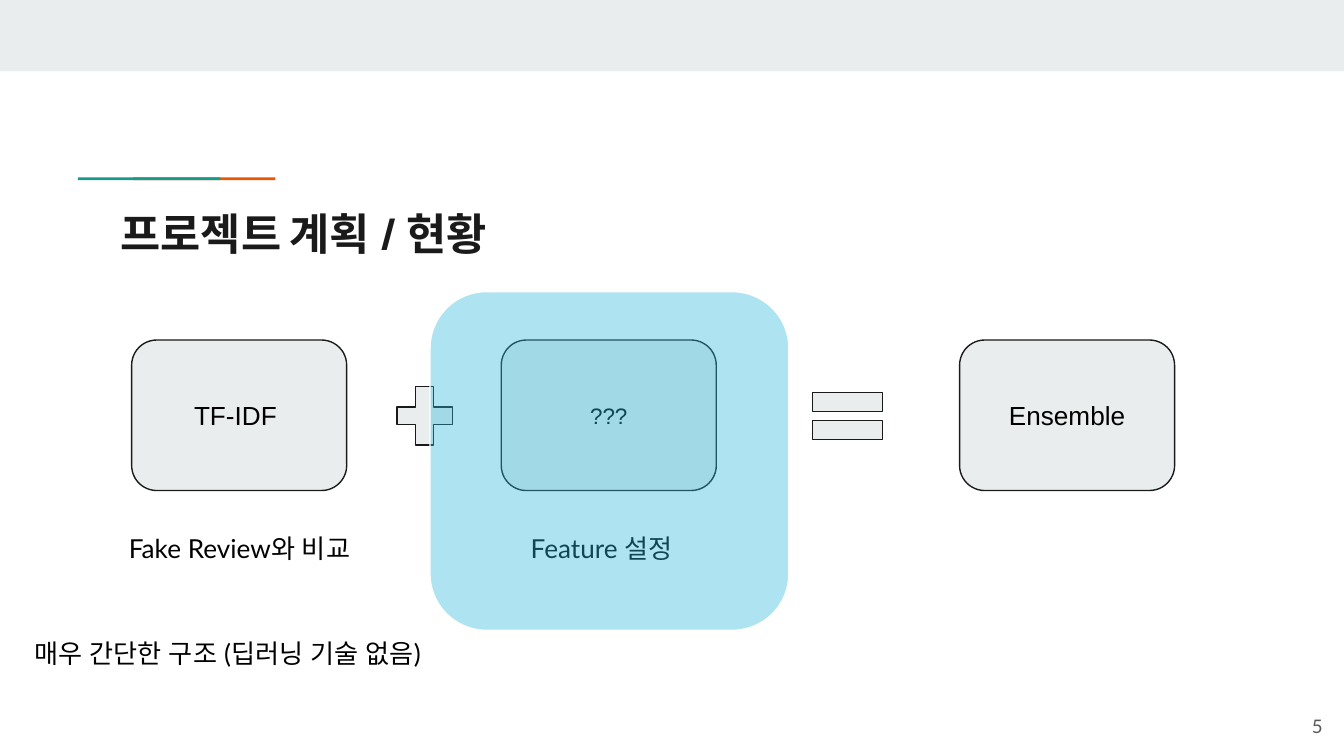
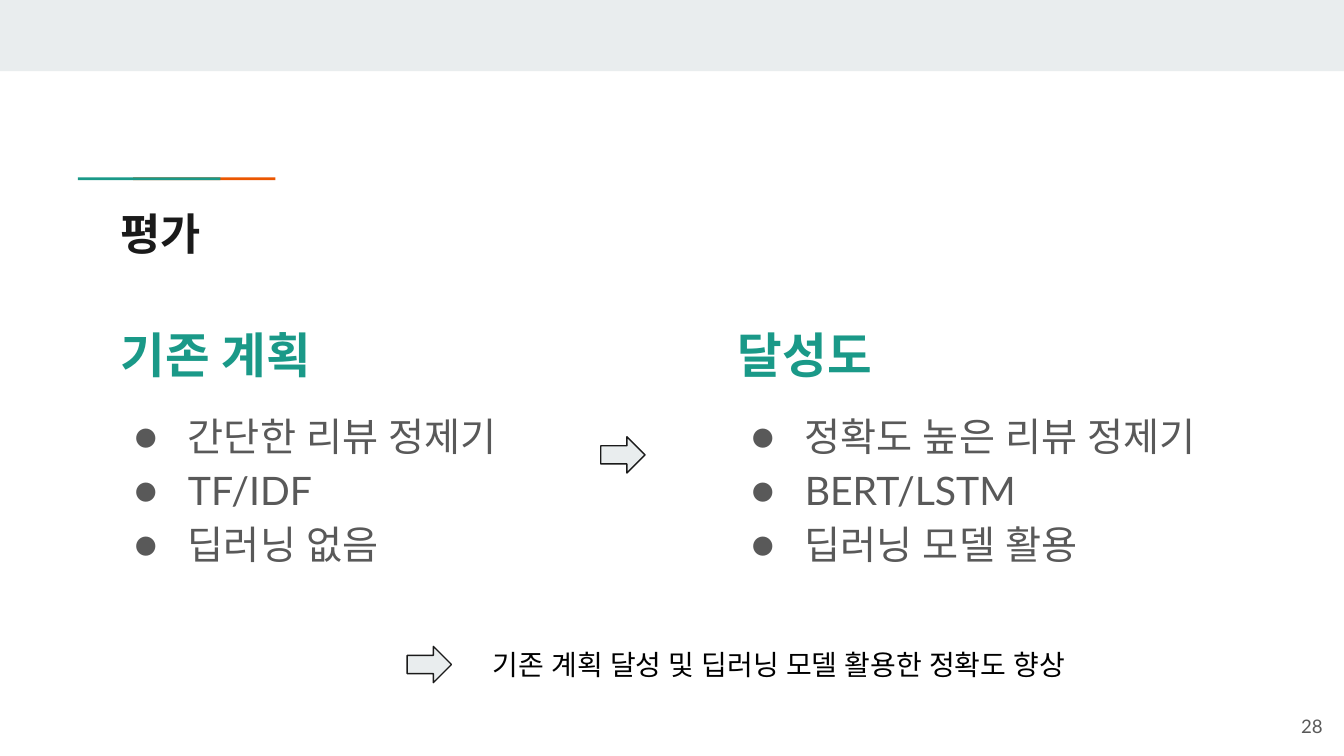
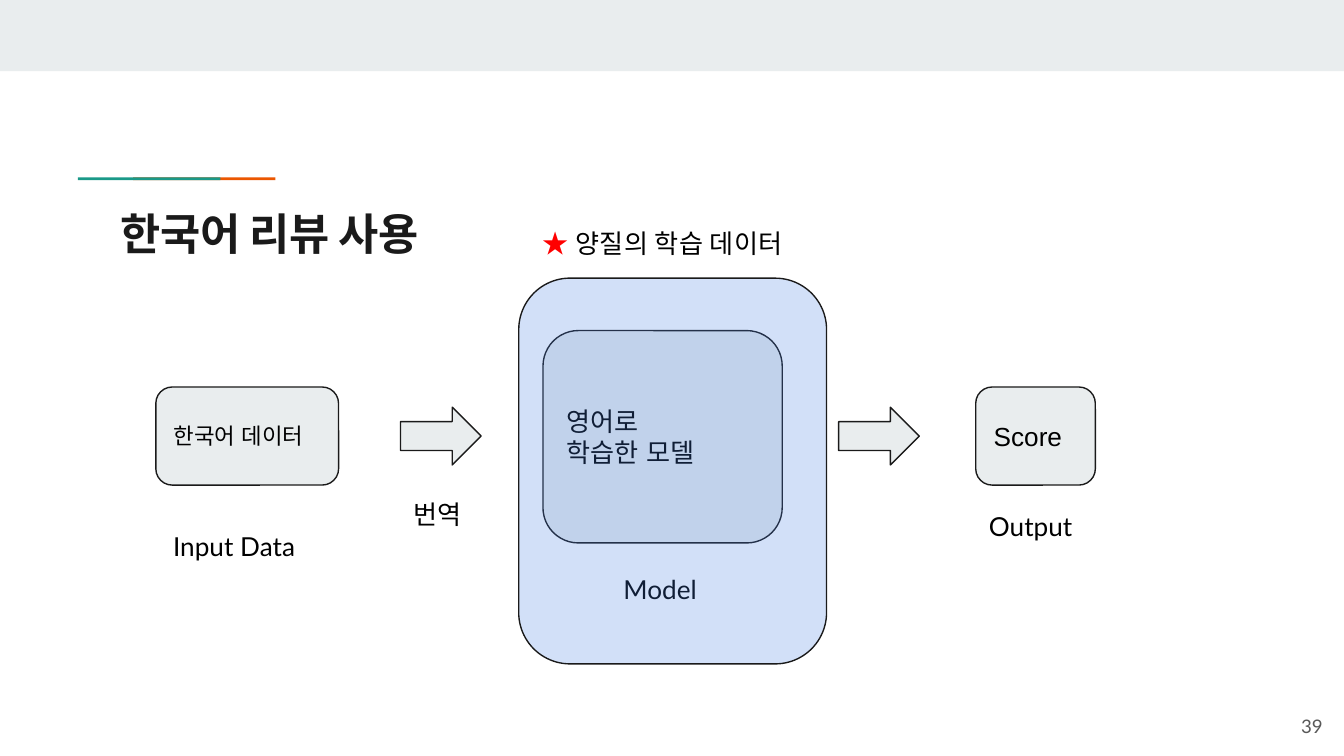
"""Build three slides on the plan, evaluation and Korean use of a review filter."""
from dataclasses import dataclass

from lxml import etree
from pptx import Presentation
from pptx import util as u
from pptx.dml.color import RGBColor
from pptx.enum import lang, shapes, text
from pptx.oxml import ns


@dataclass(frozen=True)
class Theme:
    band: str = "E9EDEE"
    ink: str = "1A1A1A"
    black: str = "000000"
    white: str = "FFFFFF"
    grey: str = "595959"
    teal: str = "1A9988"
    orange: str = "EB5600"
    red: str = "FF0000"
    cyan: str = "2CB9DC"
    blue: str = "447EE3"
    title_font: str = "Manrope"
    body_font: str = "Lato"
    box_font: str = "Arial"
    title_size: float = 23.4
    heading_size: int = 26
    bullet_size: int = 21
    summary_size: int = 15
    label_size: int = 14
    small_size: int = 12
    number_size: int = 10


theme = Theme()
kinds = shapes.MSO_SHAPE
center = text.PP_ALIGN.CENTER
middle = text.MSO_ANCHOR.MIDDLE


def draw(slide, kind, box, fill=theme.band, line=theme.ink, opacity=None):
    shape = slide.shapes.add_shape(kind, *map(u.Inches, box))
    shape.shadow.inherit = False
    shape.fill.solid()
    shape.fill.fore_color.rgb = RGBColor.from_string(fill)
    if opacity:
        color = shape._element.spPr.find(".//" + ns.qn("a:srgbClr"))
        etree.SubElement(color, ns.qn("a:alpha"), val=str(opacity * 1000))
    if line:
        shape.line.color.rgb = RGBColor.from_string(line)
        shape.line.width = u.Pt(0.75)
    else:
        shape.line.fill.background()
    return shape


def write(slide, box, content, shape=None, font=theme.body_font, size=theme.label_size,
          color=theme.black, bold=False, align=text.PP_ALIGN.LEFT, anchor=text.MSO_ANCHOR.TOP,
          spacing=None, before=0, bullet=None, same_line=False):
    shape = shape or slide.shapes.add_textbox(*map(u.Inches, box))
    frame = shape.text_frame
    frame.word_wrap = True
    frame.vertical_anchor = anchor
    frame.margin_left = frame.margin_right = frame.margin_top = frame.margin_bottom = u.Inches(0.1)
    paragraph = frame.paragraphs[-1]
    if paragraph.runs and not same_line:
        paragraph = frame.add_paragraph()
    paragraph.alignment = align
    if spacing:
        paragraph.line_spacing = spacing
        paragraph.space_before = u.Pt(before)
    if bullet:
        properties = paragraph._p.get_or_add_pPr()
        properties.set("marL", str(u.Inches(0.5)))
        properties.set("indent", str(u.Inches(-0.4)))
        bullet_color = etree.SubElement(properties, ns.qn("a:buClr"))
        etree.SubElement(bullet_color, ns.qn("a:srgbClr"), val=color)
        etree.SubElement(properties, ns.qn("a:buFont"), typeface=font)
        etree.SubElement(properties, ns.qn("a:buChar"), char=bullet)
    run = paragraph.add_run()
    run.text = content
    run.font.size = u.Pt(size)
    run.font.bold = bold
    run.font.color.rgb = RGBColor.from_string(color)
    run.font.name = font
    run.font.language_id = lang.MSO_LANGUAGE_ID.KOREAN
    etree.SubElement(run._r.rPr, ns.qn("a:ea"), typeface=font)
    return shape


presentation = Presentation()
presentation.slide_width = u.Inches(10)
presentation.slide_height = presentation.slide_width * 9 // 16

slides = []
for title, number in (("프로젝트 계획 / 현황", "5"), ("평가", "28"), ("한국어 리뷰 사용", "39")):
    slide = presentation.slides.add_slide(presentation.slide_layouts[6])
    draw(slide, kinds.RECTANGLE, (0, 0, 10, 0.53), line=None)
    for left, color in ((0.99, theme.orange), (0.58, theme.teal)):
        draw(slide, kinds.RECTANGLE, (left, 1.32, 1.06, 0.02), fill=color, line=None)
    write(slide, (0.8, 1.44, 8.41, 0.59), title, font=theme.title_font,
          size=theme.title_size, color=theme.ink, bold=True)
    write(slide, (9.34, 5.19, 0.6, 0.43), number, size=theme.number_size,
          color=theme.grey, align=text.PP_ALIGN.RIGHT, anchor=middle)
    slides.append(slide)
plan, evaluation, korean = slides

for left, content, size in ((0.98, "TF-IDF ", theme.label_size),
                            (3.73, "???", theme.small_size),
                            (7.14, "Ensemble", theme.label_size)):
    step = draw(plan, kinds.ROUNDED_RECTANGLE, (left, 2.53, 1.6, 1.12))
    write(plan, None, content, shape=step, font=theme.box_font, size=size,
          align=center, anchor=middle)
draw(plan, kinds.MATH_PLUS, (2.88, 2.8, 0.56, 0.59))
draw(plan, kinds.MATH_EQUAL, (5.95, 2.8, 0.71, 0.59))
for left, top, width, content in ((0.86, 3.86, 2.45, "Fake Review와 비교"),
                                  (3.85, 3.86, 1.6, "Feature 설정"),
                                  (0.16, 4.64, 3.24, "매우 간단한 구조 (딥러닝 기술 없음)")):
    write(plan, (left, top, width, 0.44), content)
draw(plan, kinds.ROUNDED_RECTANGLE, (3.2, 2.17, 2.67, 2.52),
     fill=theme.cyan, line=theme.white, opacity=38)

for left, heading, points in (
        (0.8, "기존 계획", ("간단한 리뷰 정제기", "TF/IDF", "딥러닝 없음")),
        (5.39, "달성도", ("정확도 높은 리뷰 정제기", "BERT/LSTM", "딥러닝 모델 활용"))):
    column = write(evaluation, (left, 2.25, 4.13, 2.47), heading, size=theme.heading_size,
                   color=theme.teal, bold=True, spacing=1.15)
    for index, point in enumerate(points):
        write(evaluation, None, point, shape=column, size=theme.bullet_size, color=theme.grey,
              spacing=1.15, before=0 if index else 12, bullet="●")
for left, top in ((4.47, 3.25), (3.03, 4.81)):
    draw(evaluation, kinds.RIGHT_ARROW, (left, top, 0.33, 0.27))
write(evaluation, (3.57, 4.72, 5.46, 0.45), "기존 계획 달성 및 딥러닝 모델 활용한 정확도 향상",
      size=theme.summary_size)

for box, lines, size in (
        ((4.04, 2.46, 1.78, 1.58), ("영어로", "학습한 모델"), theme.label_size),
        ((1.16, 2.88, 1.36, 0.73), ("한국어 데이터",), theme.small_size),
        ((7.26, 2.88, 0.89, 0.73), ("Score",), theme.label_size)):
    stage = draw(korean, kinds.ROUNDED_RECTANGLE, box)
    for line in lines:
        write(korean, None, line, shape=stage, font=theme.box_font, size=size, anchor=middle)
for left in (2.98, 6.24):
    draw(korean, kinds.RIGHT_ARROW, (left, 3.03, 0.6, 0.43))
for left, top, width, content in ((2.98, 3.61, 0.59, "번역"), (1.19, 3.85, 1.27, "Input Data"),
                                  (4.54, 4.17, 0.78, "Model"), (7.26, 3.7, 0.89, "Output")):
    write(korean, (left, top, width, 0.44), content)
draw(korean, kinds.ROUNDED_RECTANGLE, (3.86, 2.07, 2.29, 2.87), fill=theme.blue, opacity=24)
note = write(korean, (3.94, 1.59, 2.21, 0.44), "★ ", color=theme.red)
write(korean, None, "양질의 학습 데이터", shape=note, same_line=True)

presentation.save("out.pptx")
